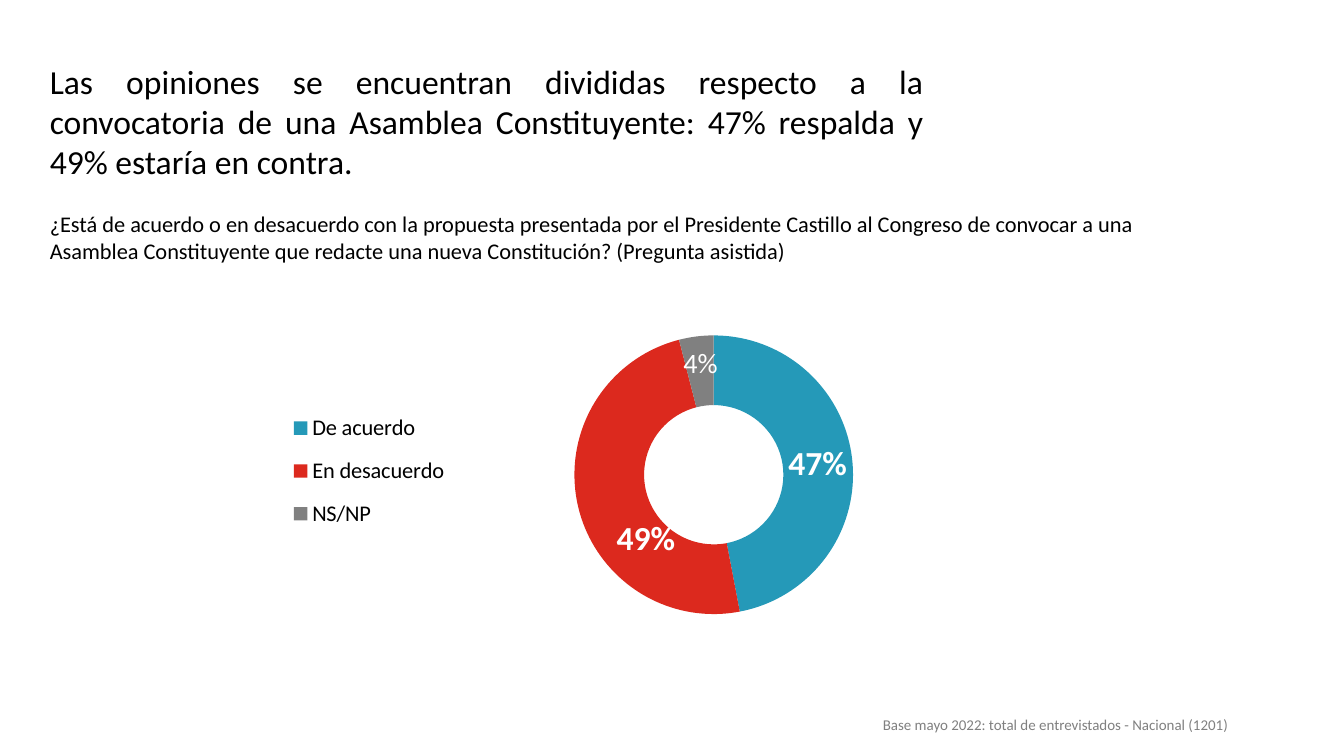
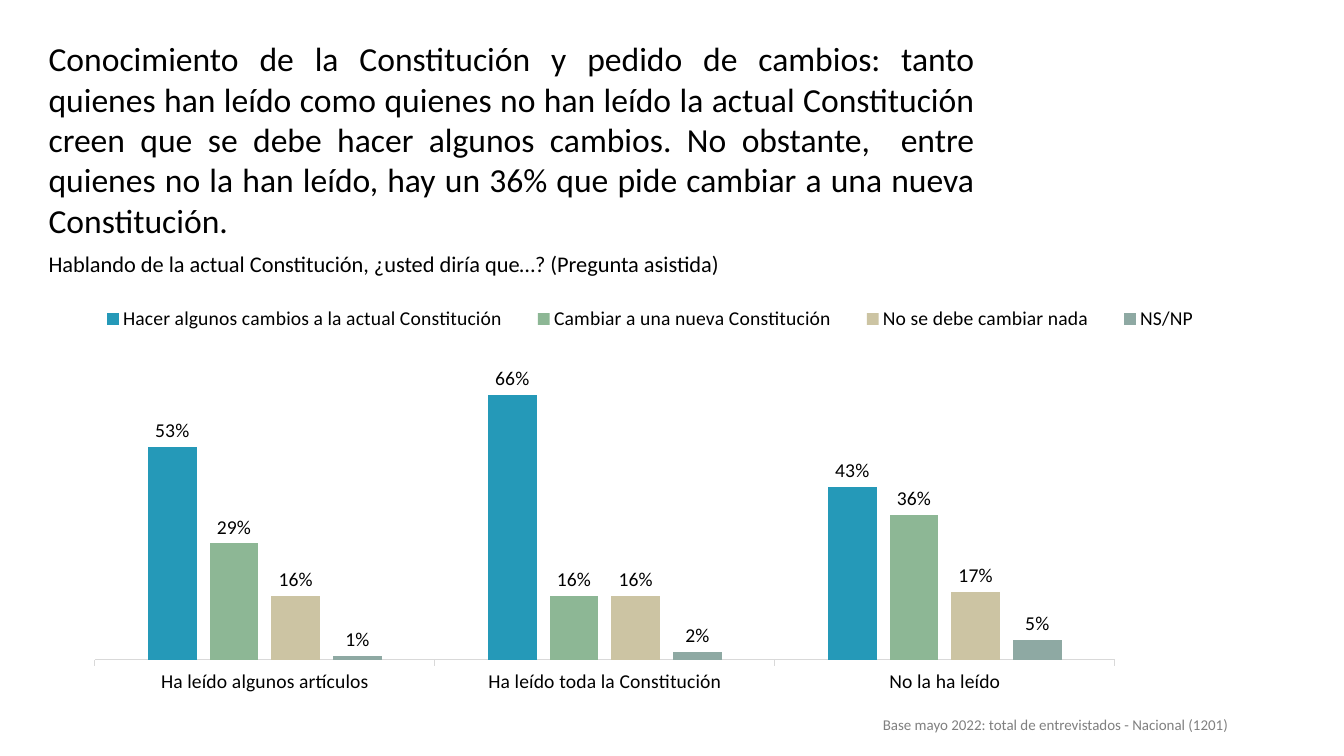
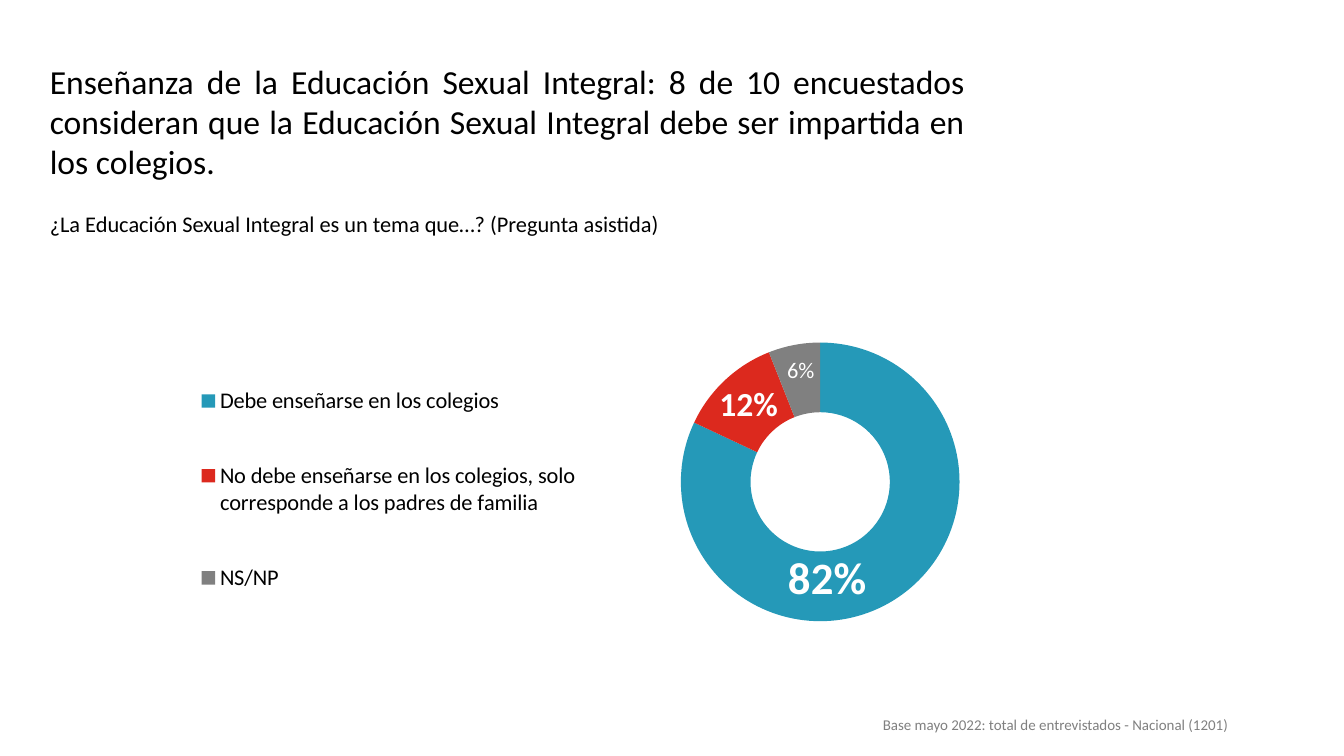
from dataclasses import dataclass
from typing import NamedTuple

from pptx import Presentation
from pptx.chart.chart import Chart
from pptx.chart.data import CategoryChartData
from pptx.dml.color import RGBColor
from pptx.enum.chart import XL_CHART_TYPE as ChartType
from pptx.enum.chart import XL_LABEL_POSITION as LabelPosition
from pptx.enum.chart import XL_LEGEND_POSITION as LegendPosition
from pptx.enum.chart import XL_TICK_MARK as TickMark
from pptx.enum.text import MSO_ANCHOR as Anchor
from pptx.enum.text import MSO_AUTO_SIZE as AutoSize
from pptx.enum.text import PP_ALIGN as Align
from pptx.oxml import parse_xml
from pptx.oxml.ns import nsdecls, qn
from pptx.oxml.xmlchemy import BaseOxmlElement
from pptx.slide import Slide
from pptx.util import Cm, Pt

COLORS = {
    "black": "000000", "white": "FFFFFF", "gray": "808080", "axis": "D9D9D9",
    "blue": "2599B8", "red": "DC291E",
    "green": "8DB795", "sand": "CCC4A3", "sage": "8EA9A3",
}
FONT = "Calibri"
TITLE_SIZE, QUESTION_SIZE, NOTE_SIZE = 24, 16, 10.7
DOUGHNUT_COLORS = ("blue", "red", "gray")
SOURCE_NOTE = "Base mayo 2022: total de entrevistados - Nacional (1201)"


class Area(NamedTuple):
    """Left, top, width and height: centimetres on a page, fractions in a chart."""
    left: float
    top: float
    width: float
    height: float


class SliceLabel(NamedTuple):
    size: int
    bold: bool = True
    shift: tuple[float, float] = (0, 0)


@dataclass
class Series:
    name: str
    values: tuple[float, ...]
    color: str = "blue"


@dataclass
class ChartSpec:
    area: Area
    plot: Area
    legend: Area
    categories: tuple[str, ...]
    series: tuple[Series, ...]
    labels: tuple[SliceLabel, ...] = ()


@dataclass
class Page:
    title: str
    title_area: Area
    question: str
    question_area: Area
    chart: ChartSpec


PAGES = (
    Page(
        "Las opiniones se encuentran divididas respecto a la convocatoria de una "
        "Asamblea Constituyente: 47% respalda y 49% estaría en contra.",
        Area(1, 1.4, 22.53, 3.33),
        "¿Está de acuerdo o en desacuerdo con la propuesta presentada por el Presidente "
        "Castillo al Congreso de convocar a una Asamblea Constituyente que redacte una "
        "nueva Constitución? (Pregunta asistida)",
        Area(1, 5.16, 28.83, 1.63),
        ChartSpec(
            Area(4.62, 7.19, 24.64, 9.55),
            Area(0.4, 0, 0.285, 1),
            Area(0.1, 0.3, 0.18, 0.38),
            ("De acuerdo", "En desacuerdo", "NS/NP"),
            (Series("Series 1", (0.47, 0.49, 0.04)),),
            (SliceLabel(24), SliceLabel(24, shift=(0.035, 0.11)),
             SliceLabel(20, bold=False, shift=(0, -0.02))),
        ),
    ),
    Page(
        "Conocimiento de la Constitución y pedido de cambios: tanto quienes han leído "
        "como quienes no han leído la actual Constitución creen que se debe hacer algunos "
        "cambios. No obstante,  entre quienes no la han leído, hay un 36% que pide "
        "cambiar a una nueva Constitución.",
        Area(0.97, 0.84, 23.85, 3.18),
        "Hablando de la actual Constitución, ¿usted diría que…? (Pregunta asistida)",
        Area(0.97, 6.17, 30.81, 0.94),
        ChartSpec(
            Area(1.96, 6.17, 28.85, 11.33),
            Area(0.015, 0.03, 0.891, 0.893),
            Area(0, 0.115, 1, 0.1),
            ("Ha leído algunos artículos", "Ha leído toda la Constitución", "No la ha leído"),
            (
                Series("Hacer algunos cambios a la actual Constitución", (0.53, 0.66, 0.43)),
                Series("Cambiar a una nueva Constitución", (0.29, 0.16, 0.36), "green"),
                Series("No se debe cambiar nada", (0.16, 0.16, 0.17), "sand"),
                Series("NS/NP", (0.01, 0.02, 0.05), "sage"),
            ),
        ),
    ),
    Page(
        "Enseñanza de la Educación Sexual Integral: 8 de 10 encuestados consideran que la "
        "Educación Sexual Integral debe ser impartida en los colegios.",
        Area(1, 1.4, 23.57, 3.33),
        "¿La Educación Sexual Integral es un tema que…? (Pregunta asistida)",
        Area(1, 5.16, 28.83, 0.94),
        ChartSpec(
            Area(3.51, 7.37, 24.64, 9.55),
            Area(0.554, 0, 0.285, 1),
            Area(0.05, 0.125, 0.41, 0.79),
            ("Debe enseñarse en los colegios",
             "No debe enseñarse en los colegios, solo corresponde a los padres de familia",
             "NS/NP"),
            (Series("Series 1", (0.82, 0.12, 0.06)),),
            (SliceLabel(32, shift=(-0.05, 0.025)), SliceLabel(24),
             SliceLabel(16, bold=False, shift=(0, -0.02))),
        ),
    ),
)


def rgb(name: str) -> RGBColor:
    return RGBColor.from_string(COLORS[name])


def in_cm(area: Area) -> list[Cm]:
    return [Cm(length) for length in area]


def set_font(font, size: float, color: str = "black", bold: bool = False) -> None:
    font.name, font.size, font.bold = FONT, Pt(size), bold
    font.color.rgb = rgb(color)


def write(box, text: str, area: Area, size: float, align: Align,
          color: str = "black", line_spacing: float = 1) -> None:
    """Place a box and give it one paragraph without a bullet."""
    box.left, box.top, box.width, box.height = in_cm(area)
    frame = box.text_frame
    frame.word_wrap, frame.auto_size = True, AutoSize.NONE
    frame.vertical_anchor = Anchor.TOP
    frame.text = text
    para = frame.paragraphs[0]
    para.alignment, para.line_spacing = align, line_spacing
    para.space_before = Pt(0)
    properties = para._p.get_or_add_pPr()
    properties.set("marL", "0")
    properties.set("indent", "0")
    properties.append(parse_xml(f"<a:buNone {nsdecls('a')}/>"))
    set_font(para.font, size, color)


def add_source_note(page: Slide) -> None:
    """Put the note on the layout of the page, so that every page shows it."""
    layout = page.slide_layout
    for holder in list(layout.placeholders):
        if holder.placeholder_format.idx >= 10:
            holder.element.getparent().remove(holder.element)
    area = Area(22, 17.96, 10.67, 0.66)
    box = page.shapes.add_textbox(*in_cm(area))
    write(box, SOURCE_NOTE, area, NOTE_SIZE, Align.JUSTIFY, "gray", 0.9)
    layout.shapes.element.append(box.element)


def set_layout(parent: BaseOxmlElement, index: int, **settings: object) -> None:
    """Give a chart part a manual layout as its child number index."""
    for layout in parent.findall(qn("c:layout")):
        parent.remove(layout)
    marks = "".join(f'<c:{key} val="{value}"/>' for key, value in settings.items())
    parent.insert(index, parse_xml(
        f"<c:layout {nsdecls('c')}><c:manualLayout>{marks}</c:manualLayout></c:layout>"))


def style_doughnut(chart: Chart, spec: ChartSpec) -> None:
    points = chart.plots[0].series[0].points
    for index, (color, label) in enumerate(zip(DOUGHNUT_COLORS, spec.labels)):
        fill = points[index].format.fill
        fill.solid()
        fill.fore_color.rgb = rgb(color)
        set_font(points[index].data_label.font, label.size, "white", label.bold)
    for mark, label in zip(chart.element.xpath(".//c:dLbl"), spec.labels):
        if any(label.shift):
            set_layout(mark, 1, x=label.shift[0], y=label.shift[1])


def style_columns(chart: Chart, spec: ChartSpec) -> None:
    plot = chart.plots[0]
    plot.vary_by_categories = False
    plot.gap_width, plot.overlap = 219, -27
    for series, series_spec in zip(plot.series, spec.series):
        series.format.fill.solid()
        series.format.fill.fore_color.rgb = rgb(series_spec.color)
    plot.data_labels.position = LabelPosition.OUTSIDE_END
    values, categories = chart.value_axis, chart.category_axis
    values.minimum_scale, values.maximum_scale = 0, 1
    values.has_major_gridlines = values.visible = False
    categories.major_tick_mark = TickMark.OUTSIDE
    categories.format.line.color.rgb = rgb("axis")
    categories.format.line.width = Pt(0.75)
    set_font(categories.tick_labels.font, 14)


def add_chart(page: Slide, spec: ChartSpec) -> None:
    is_doughnut = bool(spec.labels)
    data = CategoryChartData(number_format="0%")
    data.categories = spec.categories
    for series in spec.series:
        data.add_series(series.name, series.values)
    kind = ChartType.DOUGHNUT if is_doughnut else ChartType.COLUMN_CLUSTERED
    chart = page.shapes.add_chart(kind, *in_cm(spec.area), data).chart
    set_font(chart.font, 14)
    chart.has_title = False

    plot = chart.plots[0]
    plot.has_data_labels = True
    labels = plot.data_labels
    labels.show_value, labels.show_percentage = True, False
    labels.number_format, labels.number_format_is_linked = "0%", False
    set_font(labels.font, 14)
    if is_doughnut:
        style_doughnut(chart, spec)
    else:
        style_columns(chart, spec)

    chart.has_legend = True
    chart.legend.position = LegendPosition.RIGHT
    chart.legend.include_in_layout = False
    set_font(chart.legend.font, 16 if is_doughnut else 14)
    edges = {"xMode": "edge", "yMode": "edge"}
    for tag, index, area, target in (("plotArea", 0, spec.plot, {"layoutTarget": "inner"}),
                                     ("legend", 1, spec.legend, {})):
        set_layout(chart.element.xpath(f".//c:{tag}")[0], index, **target, **edges,
                   x=area.left, y=area.top, w=area.width, h=area.height)


def main() -> None:
    deck = Presentation()
    deck.slide_width, deck.slide_height = Cm(33.87), Cm(19.05)
    layout = deck.slide_layouts.get_by_name("Title and Content")
    for number, spec in enumerate(PAGES):
        page = deck.slides.add_slide(layout)
        if number == 0:
            add_source_note(page)
        write(page.shapes.title, spec.title, spec.title_area, TITLE_SIZE, Align.JUSTIFY)
        write(page.placeholders[1], spec.question, spec.question_area,
              QUESTION_SIZE, Align.LEFT)
        add_chart(page, spec.chart)
    deck.save("out.pptx")


if __name__ == "__main__":
    main()
